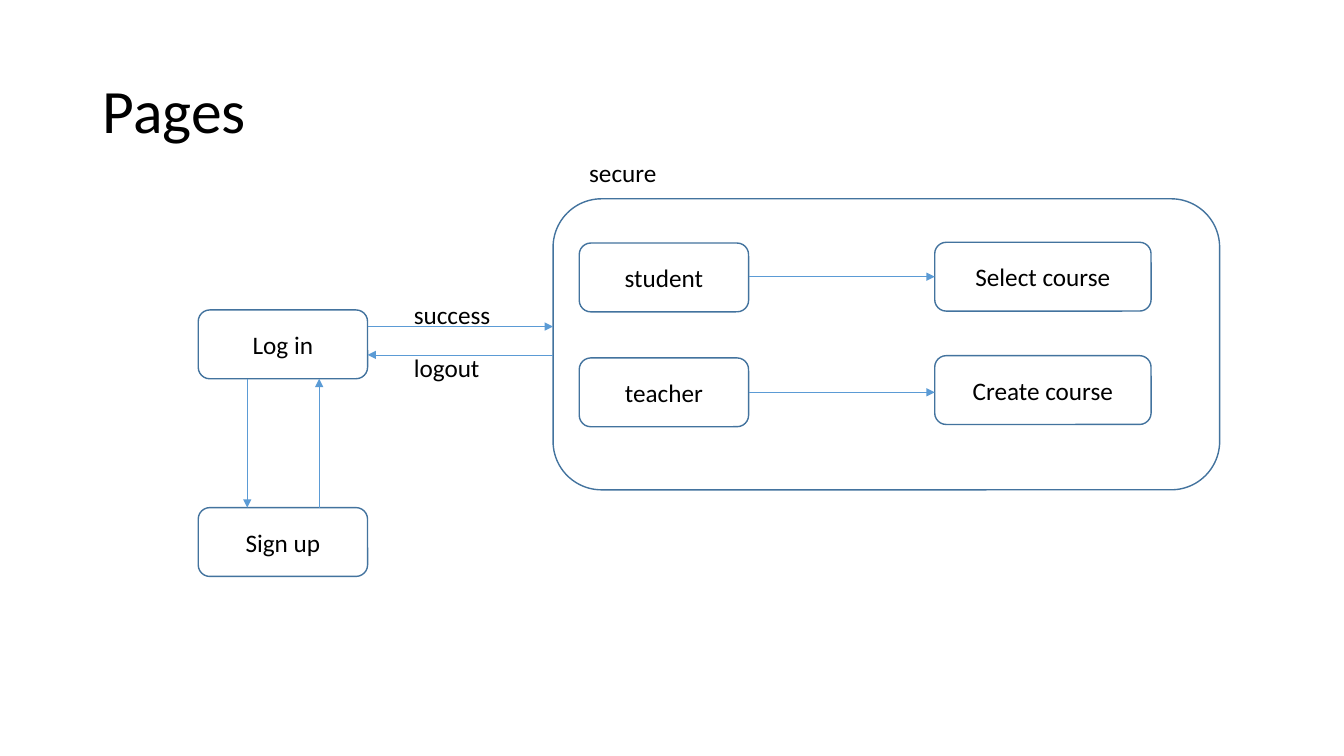
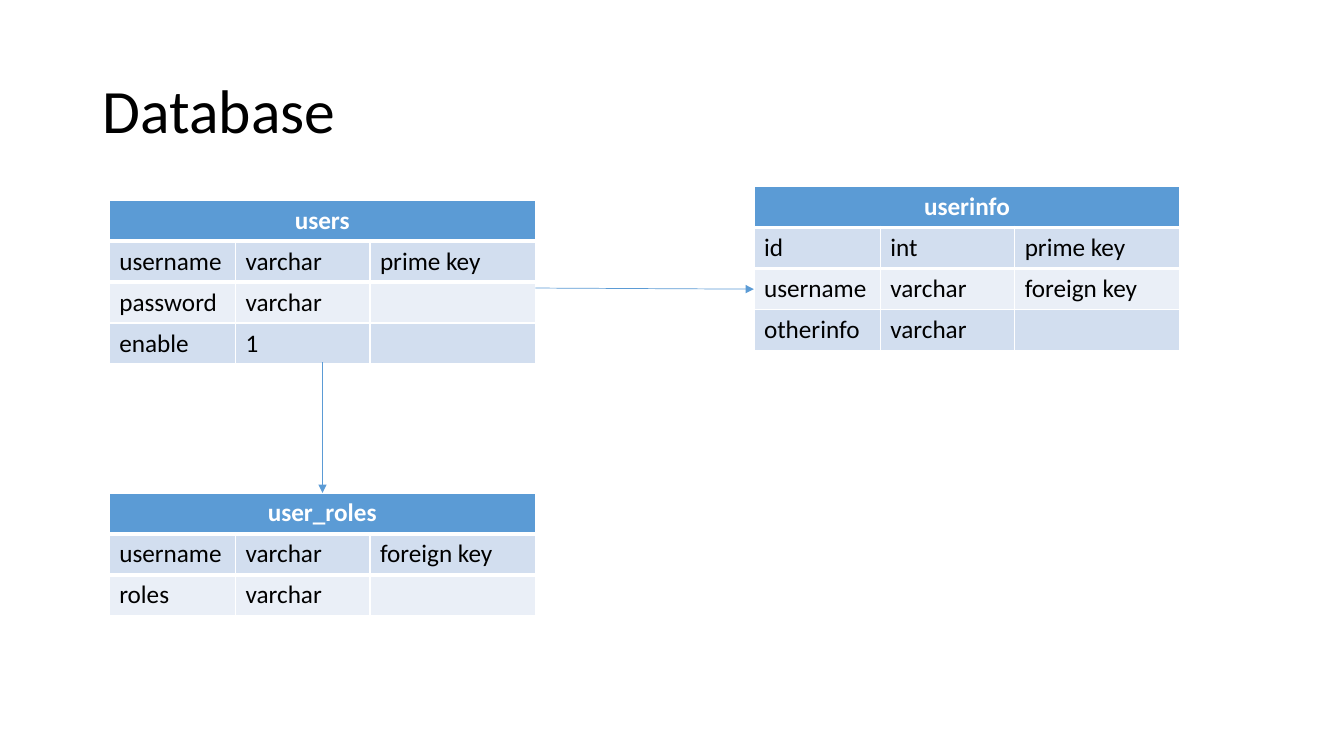
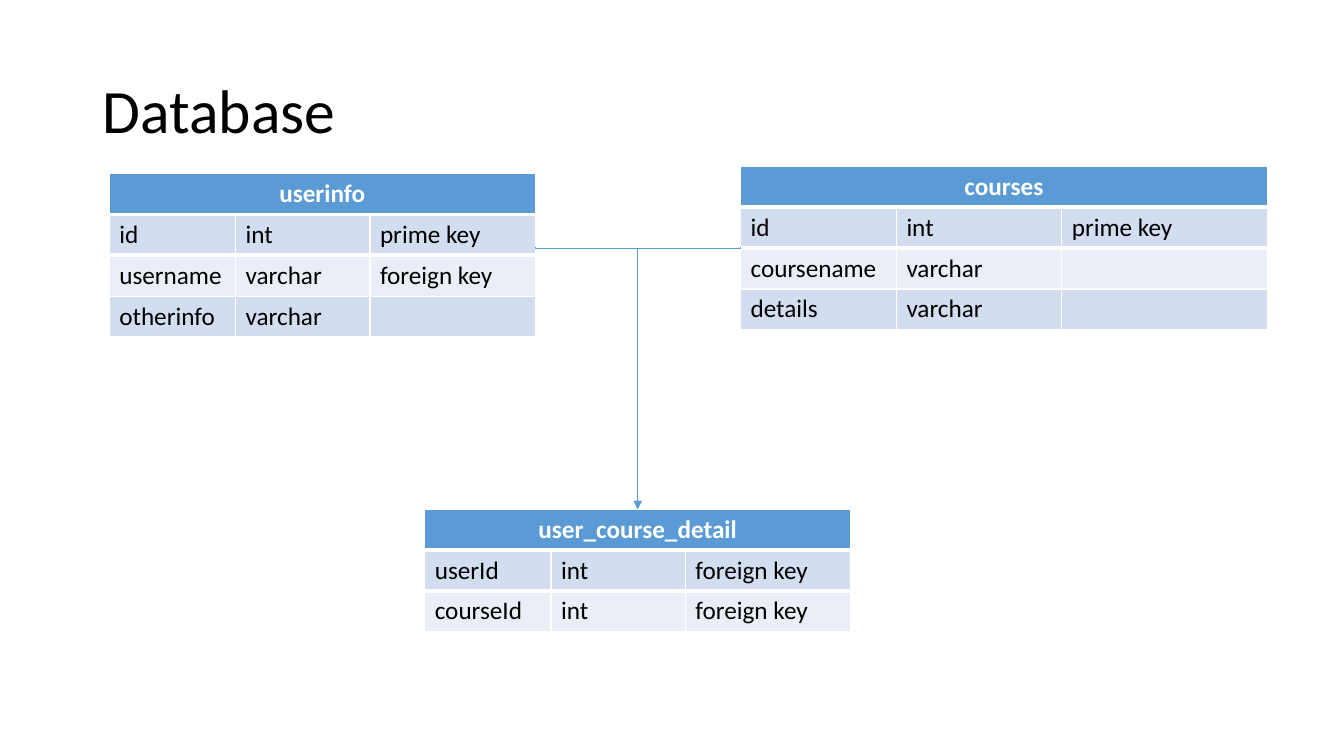
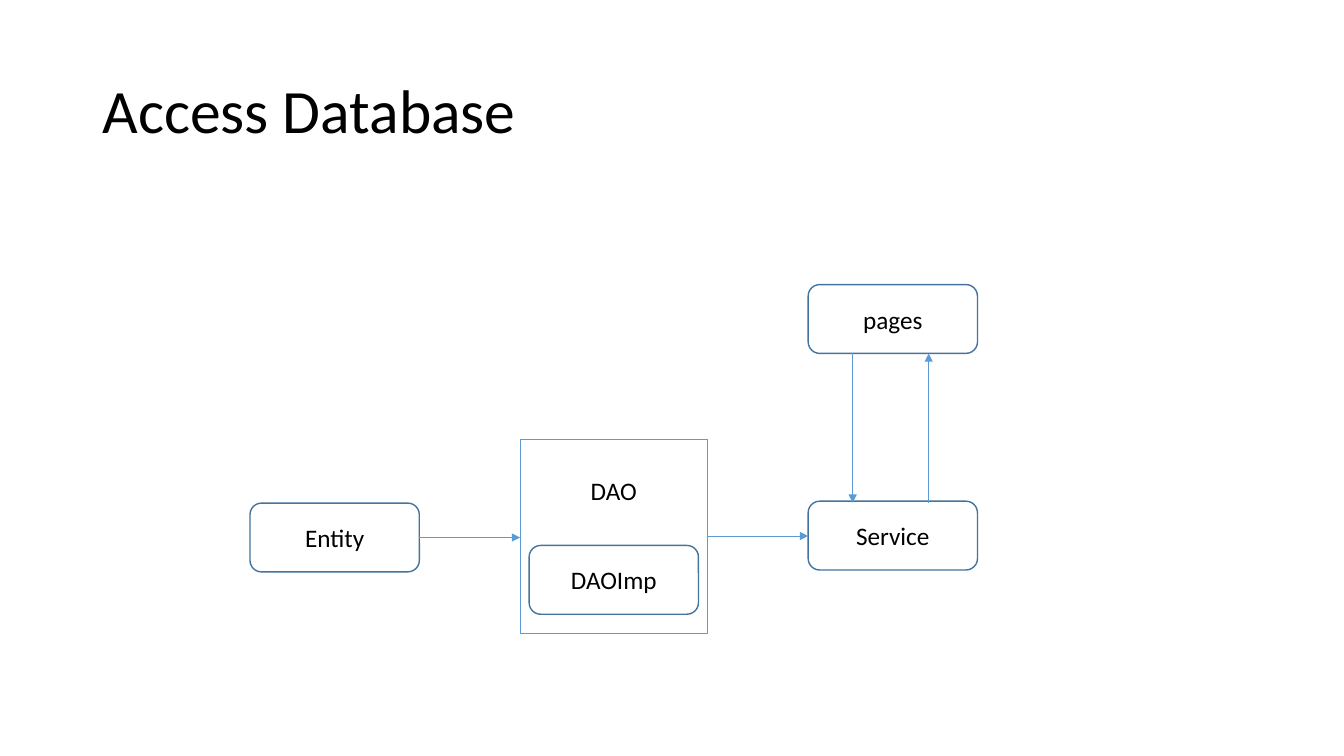
from dataclasses import dataclass

from lxml import etree
from pptx import Presentation
from pptx.dml.color import RGBColor
from pptx.enum.shapes import MSO_CONNECTOR, MSO_SHAPE
from pptx.enum.text import MSO_ANCHOR, MSO_AUTO_SIZE, PP_ALIGN
from pptx.oxml.ns import qn
from pptx.shapes.connector import Connector
from pptx.slide import Slide
from pptx.table import _Cell
from pptx.text.text import TextFrame
from pptx.util import Emu, Inches, Pt

LEFT, CENTER = PP_ALIGN.LEFT, PP_ALIGN.CENTER
TOP, MIDDLE = MSO_ANCHOR.TOP, MSO_ANCHOR.MIDDLE
ROUNDED, RECTANGLE = MSO_SHAPE.ROUNDED_RECTANGLE, MSO_SHAPE.RECTANGLE
STRAIGHT, ELBOW = MSO_CONNECTOR.STRAIGHT, MSO_CONNECTOR.ELBOW
NO_AUTOFIT = MSO_AUTO_SIZE.NONE

BLACK = RGBColor(0x00, 0x00, 0x00)
WHITE = RGBColor(0xFF, 0xFF, 0xFF)
BLUE = RGBColor(0x5B, 0x9B, 0xD5)
OUTLINE = RGBColor(0x43, 0x73, 0x9E)
BANDS = (RGBColor(0xD2, 0xDE, 0xEF), RGBColor(0xEA, 0xEF, 0xF7))
FONT = "Calibri"

SLIDE_WIDTH, SLIDE_HEIGHT = Inches(13.333), Inches(7.5)

# Positions and sizes are percentages of the slide's width and height.
NODE_WIDTH, NODE_HEIGHT = 12.6, 9.1
COURSE_WIDTH = 16.1
ROW_HEIGHT = 5.4
NARROW_COLUMNS = (9.4, 10, 12.3)
WIDE_COLUMNS = (11.6, 12.3, 15.3)


@dataclass(frozen=True)
class Area:
    left: float
    top: float
    width: float = NODE_WIDTH
    height: float = NODE_HEIGHT

    @property
    def right(self) -> float:
        return self.left + self.width

    @property
    def bottom(self) -> float:
        return self.top + self.height

    def emu(self) -> tuple[Emu, Emu, Emu, Emu]:
        return across(self.left), down(self.top), across(self.width), down(self.height)


@dataclass(frozen=True)
class Node:
    """An outlined box of a flow diagram."""
    text: str
    area: Area
    outline: RGBColor = OUTLINE
    line_width: float = 1
    preset: MSO_SHAPE = ROUNDED
    anchor: MSO_ANCHOR = MIDDLE
    margin_top: float = 0.05


@dataclass(frozen=True)
class Entity:
    """A database table: its name and its fields."""
    name: str
    left: float
    top: float
    fields: tuple[tuple[str, str, str], ...]
    columns: tuple[float, ...] = NARROW_COLUMNS

    @property
    def area(self) -> Area:
        return Area(self.left, self.top, sum(self.columns),
                    ROW_HEIGHT * (len(self.fields) + 1))


@dataclass(frozen=True)
class Link:
    x1: float
    y1: float
    x2: float
    y2: float


TITLE_AREA = Area(6.88, 5.33, 86.3, 19.33)
USERINFO_FIELDS = (("id", "int", "prime key"),
                   ("username", "varchar", "foreign key"),
                   ("otherinfo", "varchar", ""))


def across(share: float) -> Emu:
    return Emu(round(SLIDE_WIDTH * share / 100))


def down(share: float) -> Emu:
    return Emu(round(SLIDE_HEIGHT * share / 100))


def write(frame: TextFrame, text: str, *, size: float = 18, color: RGBColor = BLACK,
          bold: bool = False, align: PP_ALIGN = LEFT, spacing: float = 1) -> None:
    paragraph = frame.paragraphs[0]
    paragraph.alignment = align
    paragraph.line_spacing = spacing
    run = paragraph.add_run()
    run.text = text
    run.font.name = FONT
    run.font.size = Pt(size)
    run.font.bold = bold
    run.font.color.rgb = color


def add_titled_slide(deck: Presentation, title: str) -> Slide:
    slide = deck.slides.add_slide(deck.slide_layouts.get_by_name("Title Only"))
    heading = slide.shapes.title
    heading.left, heading.top, heading.width, heading.height = TITLE_AREA.emu()
    frame = heading.text_frame
    frame.auto_size = NO_AUTOFIT
    frame.vertical_anchor = MIDDLE
    write(frame, title, size=44, spacing=0.9)
    return slide


def draw_node(slide: Slide, node: Node) -> None:
    box = slide.shapes.add_shape(node.preset, *node.area.emu())
    box.shadow.inherit = False
    box.fill.background()
    box.line.color.rgb = node.outline
    box.line.width = Pt(node.line_width)
    if node.text:
        box.text_frame.vertical_anchor = node.anchor
        box.text_frame.margin_top = Inches(node.margin_top)
        write(box.text_frame, node.text, align=CENTER)


def draw_label(slide: Slide, text: str, left: float, top: float) -> None:
    label = slide.shapes.add_textbox(*Area(left, top, 7.3, 5.3).emu())
    label.text_frame.word_wrap = False
    write(label.text_frame, text)


def style_arrow(connector: Connector) -> None:
    connector.line.color.rgb = BLUE
    connector.line.width = Pt(0.5)
    line = connector.line._get_or_add_ln()
    etree.SubElement(line, qn("a:tailEnd"), type="triangle")
    etree.SubElement(connector._element.spPr, qn("a:effectLst"))


def draw_link(slide: Slide, link: Link) -> None:
    style_arrow(slide.shapes.add_connector(
        STRAIGHT, across(link.x1), down(link.y1), across(link.x2), down(link.y2)))


def draw_branch(slide: Slide, link: Link) -> None:
    """Draw an elbow that runs sideways first, then down: a quarter-turned connector."""
    rightward = link.x2 > link.x1
    center_x = across((link.x1 + link.x2) / 2)
    center_y = down((link.y1 + link.y2) / 2)
    half_drop = down(link.y2 - link.y1) // 2
    half_reach = across(abs(link.x2 - link.x1)) // 2
    start = half_drop if rightward else -half_drop
    connector = slide.shapes.add_connector(
        ELBOW, center_x + start, center_y - half_reach,
        center_x - start, center_y + half_reach)
    properties = connector._element.spPr
    quarter_turns = 3 if rightward else 1
    properties.find(qn("a:xfrm")).set("rot", str(quarter_turns * 90 * 60000))
    adjustments = properties.find(qn("a:prstGeom")).find(qn("a:avLst"))
    etree.SubElement(adjustments, qn("a:gd"), name="adj1", fmla="val 400")
    style_arrow(connector)


def add_border(cell: _Cell, side: str, width: float) -> None:
    border = etree.Element(qn(f"a:{side}"), w=str(Pt(width)))
    fill = etree.SubElement(border, qn("a:solidFill"))
    etree.SubElement(fill, qn("a:srgbClr"), val=str(WHITE))
    cell._tc.get_or_add_tcPr().insert(0, border)


def draw_entity(slide: Slide, entity: Entity) -> None:
    table = slide.shapes.add_table(
        len(entity.fields) + 1, len(entity.columns), *entity.area.emu()).table
    table.horz_banding = False
    for column, width in zip(table.columns, entity.columns):
        column.width = across(width)
    for row in table.rows:
        row.height = down(ROW_HEIGHT)

    header = table.cell(0, 0)
    header.merge(table.cell(0, len(entity.columns) - 1))
    header.fill.solid()
    header.fill.fore_color.rgb = BLUE
    write(header.text_frame, entity.name, color=WHITE, bold=True, align=CENTER)
    for column_index in range(len(entity.columns)):
        add_border(table.cell(0, column_index), "lnB", 3)
        add_border(table.cell(1, column_index), "lnT", 3)

    for row_index, field in enumerate(entity.fields):
        for column_index, text in enumerate(field):
            cell = table.cell(row_index + 1, column_index)
            cell.fill.solid()
            cell.fill.fore_color.rgb = BANDS[row_index % 2]
            if text:
                write(cell.text_frame, text)


def build_pages(deck: Presentation) -> None:
    slide = add_titled_slide(deck, "Pages")
    login, signup = Area(14.75, 41), Area(14.75, 67.15)
    secure = Area(41.15, 26.3, 49.6, 38.5)
    student, teacher = Area(43.1, 32.15), Area(43.1, 47.35)
    select = Area(69.55, 32.05, COURSE_WIDTH)
    create = Area(69.55, 47.05, COURSE_WIDTH)

    for text, area in (("Log in", login), ("Sign up", signup), ("", secure),
                       ("student", student), ("Select course", select),
                       ("teacher", teacher), ("Create course", create)):
        draw_node(slide, Node(text, area))
    for link in (Link(18.4, login.bottom, 18.4, signup.top),
                 Link(23.75, signup.top, 23.75, login.bottom),
                 Link(login.right, 43.2, secure.left, 43.2),
                 Link(secure.left, 46.95, login.right, 46.95),
                 Link(student.right, 36.6, select.left, 36.6),
                 Link(teacher.right, 51.9, create.left, 51.9)):
        draw_link(slide, link)
    for text, left, top in (("success", 30.05, 38.9), ("secure", 43.1, 20.1),
                            ("logout", 30.05, 45.9)):
        draw_label(slide, text, left, top)


def build_user_tables(deck: Presentation) -> None:
    slide = add_titled_slide(deck, "Database")
    users = Entity("users", 8.13, 26.5, (("username", "varchar", "prime key"),
                                         ("password", "varchar", ""),
                                         ("enable", "1", "")))
    roles = Entity("user_roles", 8.13, 65.2, (("username", "varchar", "foreign key"),
                                              ("roles", "varchar", "")))
    userinfo = Entity("userinfo", 56.1, 24.7, USERINFO_FIELDS)
    for entity in (users, roles, userinfo):
        draw_entity(slide, entity)
    draw_link(slide, Link(24, 47.9, 24, roles.top))
    draw_link(slide, Link(users.area.right, 38.1, userinfo.left, 38.25))


def build_course_tables(deck: Presentation) -> None:
    slide = add_titled_slide(deck, "Database")
    courses = Entity("courses", 55.1, 22, (("id", "int", "prime key"),
                                           ("coursename", "varchar", ""),
                                           ("details", "varchar", "")), WIDE_COLUMNS)
    detail = Entity("user_course_detail", 31.6, 67.35,
                    (("userId", "int", "foreign key"),
                     ("courseId", "int", "foreign key")))
    userinfo = Entity("userinfo", 8.13, 22.95, USERINFO_FIELDS)
    for entity in (courses, detail, userinfo):
        draw_entity(slide, entity)
    junction_x = detail.left + detail.area.width / 2
    for start_x in (userinfo.area.right, courses.left):
        draw_branch(slide, Link(start_x, 32.7, junction_x, detail.top))


def build_access(deck: Presentation) -> None:
    slide = add_titled_slide(deck, "Access Database")
    entity, implementation = Area(18.6, 66.55), Area(39.37, 72.15)
    dao = Area(38.7, 58.1, 13.93, 25.7)
    service, pages = Area(60.13, 66.3), Area(60.13, 37.65)

    for node in (Node("Entity", entity), Node("DAOImp", implementation),
                 Node("DAO", dao, BLUE, 0.75, RECTANGLE, TOP, 0.36),
                 Node("Service", service), Node("pages", pages)):
        draw_node(slide, node)
    for link in (Link(entity.right, 71.1, dao.left, 71.1),
                 Link(dao.right, 70.9, service.left, 70.9),
                 Link(63.45, pages.bottom, 63.45, 66.5),
                 Link(69.1, 66.5, 69.1, pages.bottom)):
        draw_link(slide, link)


def main() -> None:
    deck = Presentation()
    deck.slide_width, deck.slide_height = SLIDE_WIDTH, SLIDE_HEIGHT
    for build in (build_pages, build_user_tables, build_course_tables, build_access):
        build(deck)
    deck.save("out.pptx")


if __name__ == "__main__":
    main()
